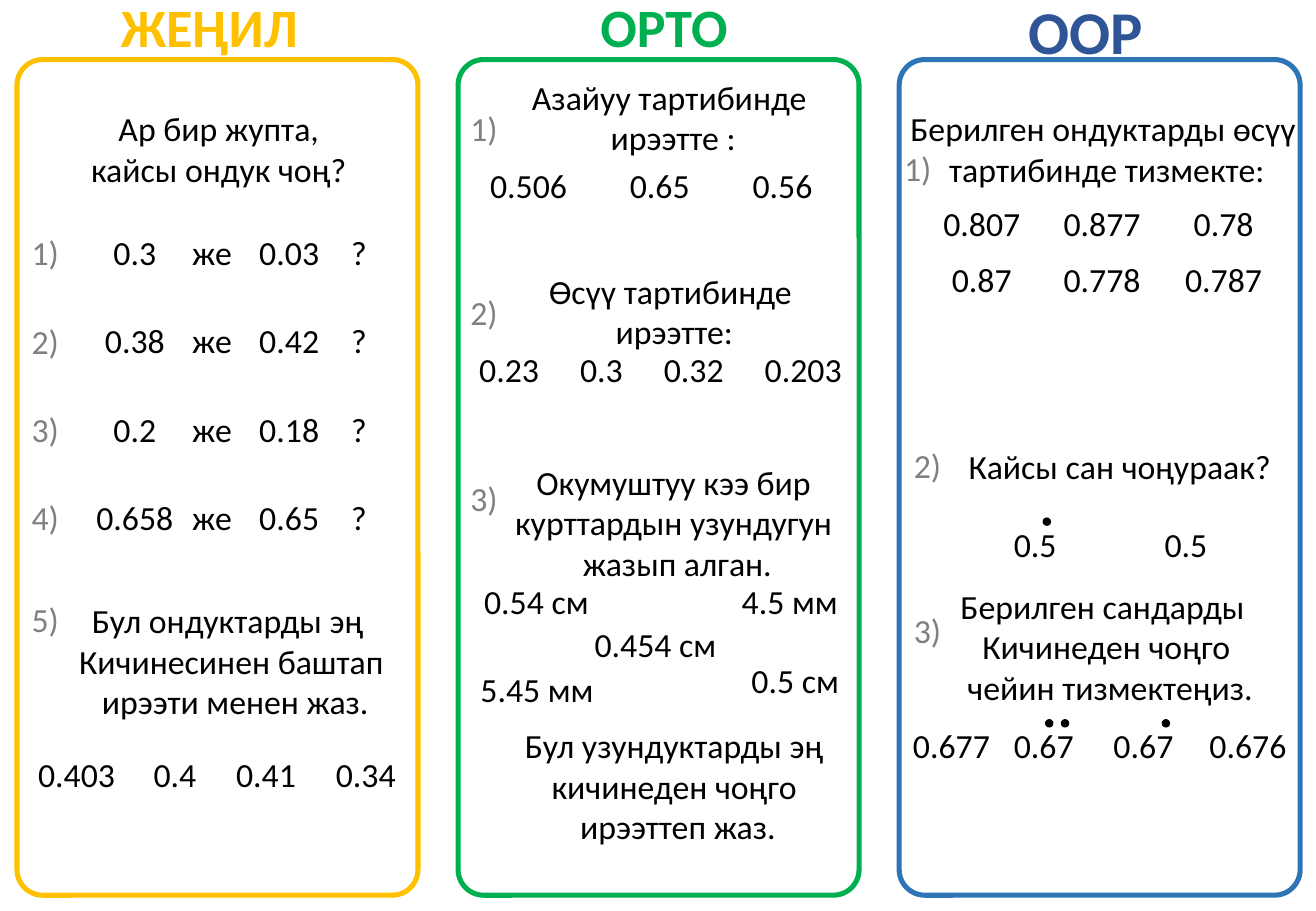
from dataclasses import dataclass

from pptx import Presentation, util as u
from pptx.dml import color
from pptx.enum import shapes, text

CELL = u.Inches(0.1)
COLUMNS, ROWS = 108.3, 75
FONT = "Calibri"
BLACK, GRAY = "000000", "808080"
BODY_SIZE = 20
CARD_LEFT, CARD_TOP, CARD_PITCH = 1.4, 4.9, 36.3
CARD_WIDTH, CARD_HEIGHT = 33, 68.8
PAIR_TOP, PAIR_PITCH = 18.6, 7.27
DOT_SIZE = 0.7
SIDE_MARGINS = 2.05
DIGIT_WIDTH = 1.41
GLYPH_WIDTHS = {".": 0.7, " ": 0.63, "с": 1.21, "м": 1.93, "ж": 1.93, "е": 1.4, "?": 1.3}


@dataclass
class Card:
    title: str
    title_color: str
    border: str
    title_size: int
    center: float
    width: float
    height: float


@dataclass
class Prompt:
    center: float
    top: float
    width: float
    lines: list[str]


@dataclass
class Tag:
    left: float
    top: float
    label: str


@dataclass
class NumberRow:
    top: float
    values: dict[float, str]


@dataclass
class Dot:
    left: float
    top: float


CARDS = [
    Card("ЖЕҢИЛ", "FFC000", "FFC000", 32, 17.25, 21.1, 6.4),
    Card("ОРТО", "00B050", "00B050", 32, 54.65, 21.1, 6.4),
    Card("ООР", "2F5597", "2E75B6", 36, 89.35, 14.3, 7.1),
]

PROMPTS = [
    Prompt(18, 8.4, 23.2, ["Ар бир жупта,", "кайсы ондук чоң?"]),
    Prompt(19.05, 48.9, 27.9, ["Бул ондуктарды эң ", "Кичинесинен баштап", " ирээти менен жаз."]),
    Prompt(55.4, 5.8, 25.4, ["Азайуу тартибинде ", "ирээтте :"]),
    Prompt(55.5, 21.8, 22.8, ["Өсүү тартибинде ", "ирээтте:"]),
    Prompt(55.75, 37.5, 28.9, ["Окумуштуу кээ бир ", "курттардын узундугун ", "жазып алган."]),
    Prompt(55.8, 59.2, 27.4, ["Бул узундуктарды эң ", "кичинеден чоңго ", "ирээттеп жаз."]),
    Prompt(91.1, 8.4, 34.6, ["Берилген ондуктарды өсүү ", "тартибинде тизмекте:"]),
    Prompt(92.15, 36.2, 27.1, ["Кайсы сан чоңураак?"]),
    Prompt(91.05, 47.7, 26.3, ["Берилген сандарды ", "Кичинеден чоңго", " чейин тизмектеңиз."]),
]

PAIRS = [("0.3", "0.03"), ("0.38", "0.42"), ("0.2", "0.18"), ("0.658", "0.65")]

TAGS = [
    Tag(1.4, 49.3, "5)"),
    Tag(37.5, 8.9, "1)"), Tag(37.5, 24, "2)"), Tag(37.5, 39.3, "3)"),
    Tag(73.2, 12.2, "1)"), Tag(74, 36.6, "2)"), Tag(74, 50.2, "3)"),
]

NUMBER_ROWS = [
    NumberRow(61.6, {6.3: "0.403", 14.4: "0.4", 21.9: "0.41", 30.1: "0.34"}),
    NumberRow(13.1, {43.5: "0.506", 54.3: "0.65", 64.4: "0.56"}),
    NumberRow(28.2, {41.9: "0.23", 49.5: "0.3", 57.1: "0.32", 66.1: "0.203"}),
    NumberRow(47.3, {44.15: "0.54 см", 65: "4.5 мм"}),
    NumberRow(50.9, {53.95: "0.454 см"}),
    NumberRow(53.8, {65.45: "0.5 см"}),
    NumberRow(54.6, {44.2: "5.45 мм"}),
    NumberRow(16.2, {80.8: "0.807", 90.7: "0.877", 100.7: "0.78"}),
    NumberRow(20.8, {80.8: "0.87", 90.7: "0.778", 100.7: "0.787"}),
    NumberRow(42.6, {85.2: "0.5", 97.6: "0.5"}),
    NumberRow(59.2, {78.3: "0.677", 85.9: "0.67", 94.1: "0.67", 102.7: "0.676"}),
]

DOTS = [Dot(85.8, 42.6), Dot(86, 59.2), Dot(87.3, 59.2), Dot(95.6, 59.2)]


def rgb(value: str) -> color.RGBColor:
    return color.RGBColor.from_string(value)


def cells(*lengths: float) -> list[int]:
    return [round(length * CELL) for length in lengths]


def add_text(page, left: float, top: float, width: float, height: float, lines: list[str],
             ink: str = BLACK, size: int = BODY_SIZE, bold: bool = False,
             wrap: bool = False, align=text.PP_ALIGN.CENTER):
    box = page.shapes.add_textbox(*cells(left, top, width, height))
    frame = box.text_frame
    frame.word_wrap = wrap
    frame.auto_size = text.MSO_AUTO_SIZE.SHAPE_TO_FIT_TEXT
    for index, line in enumerate(lines):
        para = frame.paragraphs[0] if index == 0 else frame.add_paragraph()
        para.alignment = align
        span = para.add_run()
        span.text = line
        span.font.name = FONT
        span.font.size = u.Pt(size)
        span.font.bold = bold
        span.font.color.rgb = rgb(ink)
    return frame


def draw_card(page, card: Card, index: int) -> None:
    place = cells(CARD_LEFT + index * CARD_PITCH, CARD_TOP, CARD_WIDTH, CARD_HEIGHT)
    outline = page.shapes.add_shape(shapes.MSO_SHAPE.ROUNDED_RECTANGLE, *place)
    outline.adjustments[0] = 0.064
    outline.shadow.inherit = False
    outline.fill.background()
    outline.line.color.rgb = rgb(card.border)
    outline.line.width = u.Pt(3)
    add_text(page, card.center - card.width / 2, -1, card.width, card.height,
             [card.title], card.title_color, card.title_size, bold=True, wrap=True)


def draw_prompt(page, prompt: Prompt) -> None:
    add_text(page, prompt.center - prompt.width / 2, prompt.top, prompt.width,
             1 + 3.37 * len(prompt.lines), prompt.lines)


def draw_tag(page, tag: Tag) -> None:
    frame = add_text(page, tag.left, tag.top, 3.5, 3.4, [tag.label], GRAY,
                     align=text.PP_ALIGN.LEFT)
    frame.margin_left = u.Inches(0.12)
    frame.margin_top = frame.margin_right = frame.margin_bottom = 0


def draw_numbers(page, row: NumberRow) -> None:
    for center, value in row.values.items():
        width = SIDE_MARGINS + sum(GLYPH_WIDTHS.get(glyph, DIGIT_WIDTH) for glyph in value)
        add_text(page, center - width / 2, row.top, width, 4.4, [value])


def draw_dot(page, dot: Dot) -> None:
    place = cells(dot.left, dot.top, DOT_SIZE, DOT_SIZE)
    mark = page.shapes.add_shape(shapes.MSO_SHAPE.OVAL, *place)
    mark.shadow.inherit = False
    mark.fill.solid()
    mark.fill.fore_color.rgb = rgb(BLACK)
    mark.line.fill.background()


def main() -> None:
    deck = Presentation()
    deck.slide_width, deck.slide_height = cells(COLUMNS, ROWS)
    page = deck.slides.add_slide(deck.slide_layouts[6])
    for index, card in enumerate(CARDS):
        draw_card(page, card, index)
    for prompt in PROMPTS:
        draw_prompt(page, prompt)
    for index, (first, second) in enumerate(PAIRS):
        top = PAIR_TOP + index * PAIR_PITCH
        draw_tag(page, Tag(CARD_LEFT, top + 0.5, f"{index + 1})"))
        draw_numbers(page, NumberRow(top, {11.1: first, 17.45: "же", 23.8: second, 29.55: "?"}))
    for tag in TAGS:
        draw_tag(page, tag)
    for row in NUMBER_ROWS:
        draw_numbers(page, row)
    for dot in DOTS:
        draw_dot(page, dot)
    deck.save("out.pptx")


if __name__ == "__main__":
    main()
